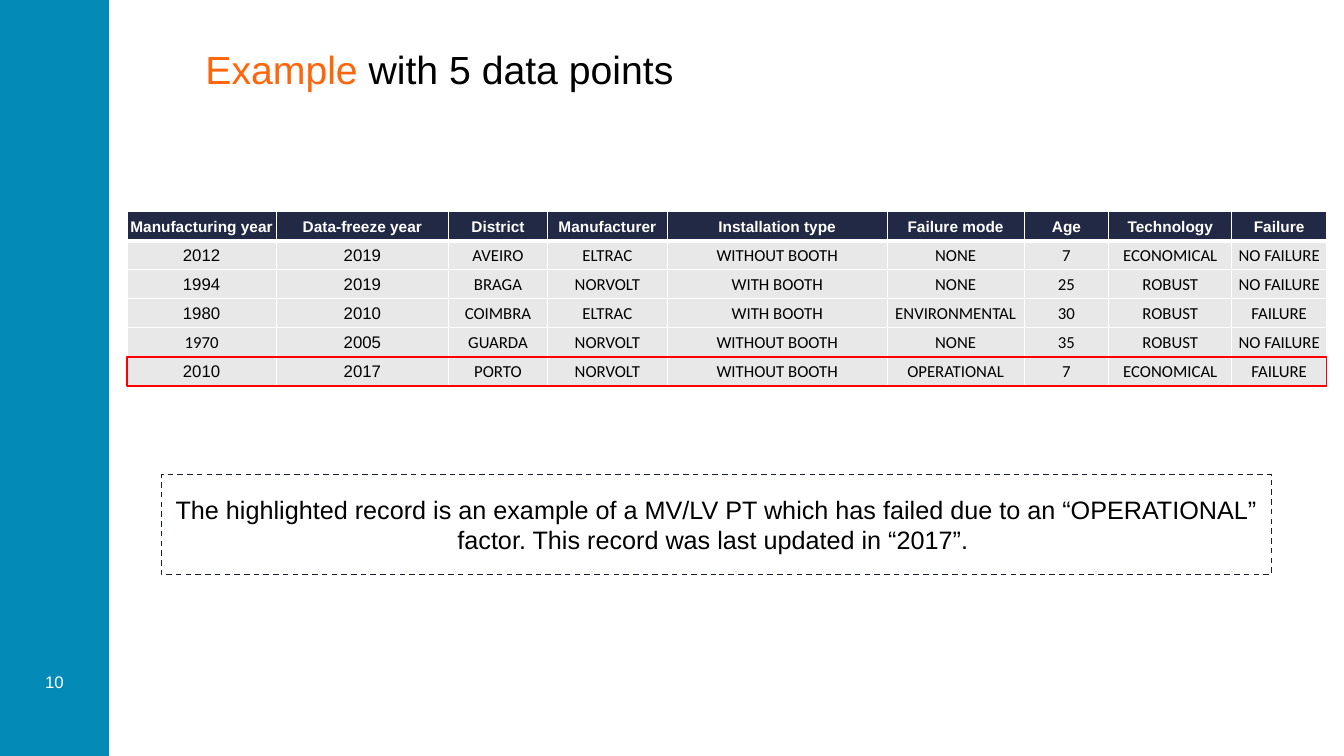
"""Build the slide that shows five sample records and highlights the last one."""
from dataclasses import dataclass

from lxml.etree import SubElement
from pptx import Presentation
from pptx.dml.color import RGBColor
from pptx.enum.dml import MSO_LINE
from pptx.enum.shapes import MSO_SHAPE
from pptx.enum.text import MSO_ANCHOR, PP_ALIGN
from pptx.oxml.ns import qn
from pptx.util import Inches, Pt

TITLE = ("Example", " with 5 data points")
PAGE_NUMBER = "10"
HEADINGS = ("Manufacturing year", "Data-freeze year", "District", "Manufacturer",
            "Installation type", "Failure mode", "Age", "Technology", "Failure")
RECORDS = [
    ("2012", "2019", "AVEIRO", "ELTRAC", "WITHOUT BOOTH", "NONE", "7", "ECONOMICAL", "NO FAILURE"),
    ("1994", "2019", "BRAGA", "NORVOLT", "WITH BOOTH", "NONE", "25", "ROBUST", "NO FAILURE"),
    ("1980", "2010", "COIMBRA", "ELTRAC", "WITH BOOTH", "ENVIRONMENTAL", "30", "ROBUST", "FAILURE"),
    ("1970", "2005", "GUARDA", "NORVOLT", "WITHOUT BOOTH", "NONE", "35", "ROBUST", "NO FAILURE"),
    ("2010", "2017", "PORTO", "NORVOLT", "WITHOUT BOOTH", "OPERATIONAL", "7", "ECONOMICAL", "FAILURE"),
]
NOTE = ("The highlighted record is an example of a MV/LV PT which has failed due to an "
        "“OPERATIONAL” factor. This record was last updated in “2017”. ")
HIGHLIGHTED_ROW = 5
YEAR_COLUMNS = 2
CALIBRI_YEARS = {"1970"}

SLIDE_WIDTH, SLIDE_HEIGHT = Inches(13.33), Inches(7.5)
SIDEBAR_AREA = (0, 0, 8.1, 100)
NUMBER_AREA = (0, 85.73, 8.1, 8.93)
TITLE_AREA = (14.55, 5.33, 65.42, 12)
NOTE_AREA = (12, 62.8, 82.6, 13.2)
RECORDS_LEFT, RECORDS_TOP, ROW_SHARE = 9.45, 28, 3.84
COLUMN_SHARES = (11.1, 12.83, 7.35, 8.93, 16.35, 10.2, 6.3, 9.15, 7.05)


@dataclass(frozen=True)
class Theme:
    """Colours, fonts and type sizes of the slide."""
    sidebar: str = "038AB7"
    accent: str = "FF660C"
    heading: str = "222944"
    body: str = "E8E8E9"
    dashes: str = "191E32"
    highlight: str = "FF0000"
    dark: str = "000000"
    light: str = "FFFFFF"
    main_font: str = "Arial"
    value_font: str = "Calibri"
    title_size: int = 28
    note_size: int = 18
    body_size: int = 12
    heading_size: int = 11


THEME = Theme()


def place(left, top, width, height):
    """Turn percentages of the slide into lengths."""
    return (round(SLIDE_WIDTH * left / 100), round(SLIDE_HEIGHT * top / 100),
            round(SLIDE_WIDTH * width / 100), round(SLIDE_HEIGHT * height / 100))


def write(frame, text, *, size, color=THEME.dark, font=THEME.main_font, bold=False,
          align=PP_ALIGN.CENTER):
    """Add a formatted run to the first paragraph of a text frame."""
    paragraph = frame.paragraphs[0]
    paragraph.alignment = align
    run = paragraph.add_run()
    run.text = text
    run.font.size, run.font.name, run.font.bold = Pt(size), font, bold
    run.font.color.rgb = RGBColor.from_string(color)


def add_box(slide, area, fill=None, line=None, dash=None):
    """Add a plain rectangle with an optional fill and outline."""
    box = slide.shapes.add_shape(MSO_SHAPE.RECTANGLE, *place(*area))
    box.shadow.inherit = False
    if fill:
        box.fill.solid()
        box.fill.fore_color.rgb = RGBColor.from_string(fill)
    else:
        box.fill.background()
    if line:
        box.line.color.rgb = RGBColor.from_string(line)
        box.line.width = Pt(1)
        box.line.dash_style = dash
    else:
        box.line.fill.background()
    return box


def add_label(slide, area, anchor):
    """Add a wrapping text box and return its text frame."""
    frame = slide.shapes.add_textbox(*place(*area)).text_frame
    frame.word_wrap = True
    frame.vertical_anchor = anchor
    return frame


def style_cell(cell, fill, bottom_width):
    """Set the fill, margins and white borders of a table cell."""
    cell.fill.solid()
    cell.fill.fore_color.rgb = RGBColor.from_string(fill)
    cell.vertical_anchor = MSO_ANCHOR.MIDDLE
    cell.margin_left = cell.margin_top = cell.margin_right = Inches(0.01)
    cell.margin_bottom = 0
    properties = cell._tc.get_or_add_tcPr()
    for position, (side, width) in enumerate(
            (("lnL", 1), ("lnR", 1), ("lnT", 1), ("lnB", bottom_width))):
        border = SubElement(properties, qn(f"a:{side}"), w=str(Pt(width)))
        SubElement(SubElement(border, qn("a:solidFill")), qn("a:srgbClr"), val=THEME.light)
        properties.insert(position, border)


def add_records(slide):
    """Add the table of records under its headings."""
    rows = [HEADINGS, *RECORDS]
    area = (RECORDS_LEFT, RECORDS_TOP, sum(COLUMN_SHARES), ROW_SHARE * len(rows))
    records = slide.shapes.add_table(len(rows), len(HEADINGS), *place(*area)).table
    records.horz_banding = False
    for column, share in zip(records.columns, COLUMN_SHARES):
        column.width = round(SLIDE_WIDTH * share / 100)
    for row_index, values in enumerate(rows):
        records.rows[row_index].height = round(SLIDE_HEIGHT * ROW_SHARE / 100)
        for column_index, value in enumerate(values):
            cell = records.cell(row_index, column_index)
            if row_index == 0:
                style_cell(cell, THEME.heading, 3)
                write(cell.text_frame, value, size=THEME.heading_size,
                      color=THEME.light, bold=True)
            else:
                is_main = column_index < YEAR_COLUMNS and value not in CALIBRI_YEARS
                style_cell(cell, THEME.body, 3 if row_index == 0 else 1)
                write(cell.text_frame, value, size=THEME.body_size,
                      font=THEME.main_font if is_main else THEME.value_font)


def main():
    """Assemble and save the slide."""
    deck = Presentation()
    deck.slide_width, deck.slide_height = SLIDE_WIDTH, SLIDE_HEIGHT
    slide = deck.slides.add_slide(deck.slide_layouts[6])

    add_box(slide, SIDEBAR_AREA, fill=THEME.sidebar)
    write(add_label(slide, NUMBER_AREA, MSO_ANCHOR.MIDDLE), PAGE_NUMBER,
          size=THEME.body_size, color=THEME.light)
    title = add_label(slide, TITLE_AREA, MSO_ANCHOR.TOP)
    for part, color in zip(TITLE, (THEME.accent, THEME.dark)):
        write(title, part, size=THEME.title_size, color=color, align=PP_ALIGN.LEFT)

    add_records(slide)
    note = add_box(slide, NOTE_AREA, line=THEME.dashes, dash=MSO_LINE.DASH).text_frame
    note.word_wrap = True
    note.vertical_anchor = MSO_ANCHOR.MIDDLE
    write(note, NOTE, size=THEME.note_size)
    highlight_top = RECORDS_TOP + HIGHLIGHTED_ROW * ROW_SHARE
    add_box(slide, (RECORDS_LEFT, highlight_top, sum(COLUMN_SHARES), ROW_SHARE),
            line=THEME.highlight)
    deck.save("out.pptx")


if __name__ == "__main__":
    main()
